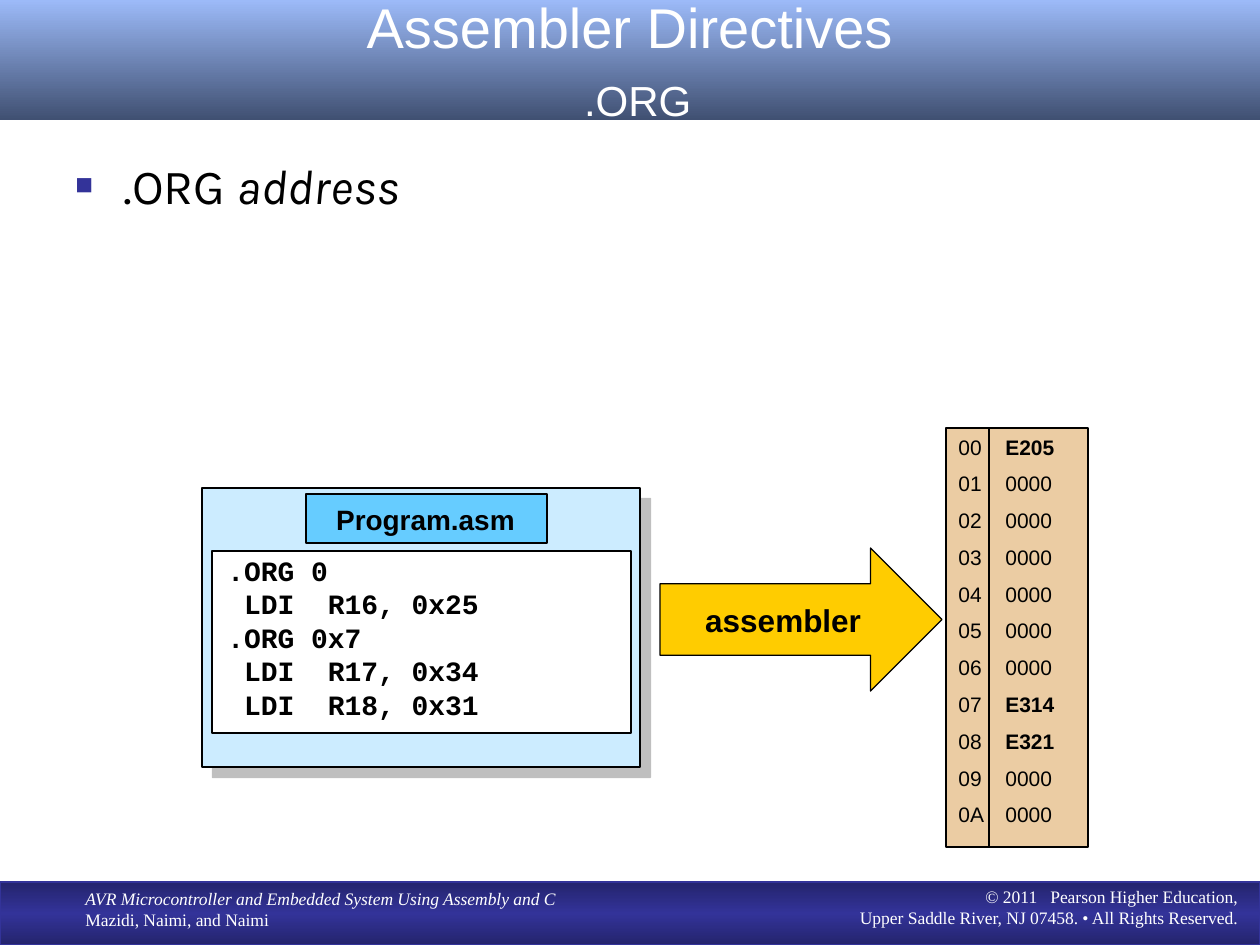
"""Build the slide on the assembler's .ORG directive."""
from copy import deepcopy
from dataclasses import dataclass
from typing import NamedTuple, Optional, Sequence

from pptx import Presentation, util as u
from pptx.dml.color import RGBColor
from pptx.enum import shapes, text
from pptx.oxml.ns import qn
from lxml import etree

SCALE = 914400 / 126
BLACK = RGBColor(0x00, 0x00, 0x00)
WHITE = RGBColor(0xFF, 0xFF, 0xFF)
NAVY = RGBColor(0x24, 0x24, 0x6D)
INDIGO = RGBColor(0x33, 0x33, 0x99)
SKY = RGBColor(0x9C, 0xBA, 0xF8)
SLATE = RGBColor(0x40, 0x50, 0x72)
PALE = RGBColor(0xCC, 0xEC, 0xFF)
CYAN = RGBColor(0x66, 0xCC, 0xFF)
TAN = RGBColor(0xEB, 0xCC, 0xA3)
GOLD = RGBColor(0xFF, 0xCC, 0x00)
RECT = shapes.MSO_SHAPE.RECTANGLE
ARROW = shapes.MSO_SHAPE.RIGHT_ARROW
LEFT, MID, RIGHT = text.PP_ALIGN.LEFT, text.PP_ALIGN.CENTER, text.PP_ALIGN.RIGHT
BREAK = "\n"


class Run(NamedTuple):
    body: str
    size: Optional[int] = None
    bold: Optional[bool] = None
    slant: bool = False


@dataclass(frozen=True)
class Box:
    x: int
    y: int
    w: int
    h: int
    fill: Sequence[RGBColor] = ()
    line: Optional[RGBColor] = BLACK
    width: float = 0.75
    kind: shapes.MSO_SHAPE = RECT


class Cell(NamedTuple):
    code: str
    value: str = "0000"


def px(n: int) -> u.Emu:
    return u.Emu(round(n * SCALE))


def add(node, tag: str, **attrs):
    return etree.SubElement(node, qn(tag), {k: str(v) for k, v in attrs.items()})


def draw(slide, box: Box):
    place = [px(n) for n in (box.x, box.y, box.w, box.h)]
    if not box.fill:
        return slide.shapes.add_textbox(*place)
    shape = slide.shapes.add_shape(box.kind, *place)
    shape.shadow.inherit = False
    if len(box.fill) == 1:
        shape.fill.solid()
        shape.fill.fore_color.rgb = box.fill[0]
    else:
        blend(shape, box.fill)
    if box.line is None:
        shape.line.fill.background()
    else:
        shape.line.color.rgb = box.line
        shape.line.width = u.Pt(box.width)
    return shape


def blend(shape, tints: Sequence[RGBColor]) -> None:
    shape.fill.gradient()
    shape.fill.gradient_angle = 270
    stops = shape._element.spPr.find(".//" + qn("a:gsLst"))
    for _ in tints[2:]:
        stops.append(deepcopy(stops[0]))
    for i, (stop, tint) in enumerate(zip(shape.fill.gradient_stops, tints)):
        stop.color.rgb = tint
        stop.position = i / (len(tints) - 1)


def shade(shape) -> None:
    effect = shape._element.spPr.find(qn("a:effectLst"))
    cast = add(effect, "a:outerShdw", dist=u.Pt(8.5), dir=2700000, algn="ctr", rotWithShape=0)
    tint = add(cast, "a:srgbClr", val="808080")
    add(tint, "a:alpha", val=50000)


def bullet(para, indent: int) -> None:
    props = para._p.get_or_add_pPr()
    props.set("marL", str(px(indent)))
    props.set("indent", str(-px(indent)))
    tint = add(props, "a:buClr")
    add(tint, "a:srgbClr", val=INDIGO)
    add(props, "a:buSzPct", val=60000)
    add(props, "a:buFont", typeface="Arial")
    add(props, "a:buChar", char="■")


def write(shape, lines: Sequence[Sequence[Run]], *, size: int, font: str = "Arial",
          color: RGBColor = BLACK, bold: bool = False, align=LEFT, wrap: bool = True,
          middle: bool = False, gap: float = 0, indent: int = 0, tab: int = 0) -> None:
    frame = shape.text_frame
    frame.word_wrap = wrap
    frame.vertical_anchor = text.MSO_ANCHOR.MIDDLE if middle else text.MSO_ANCHOR.TOP
    for i, line in enumerate(lines):
        para = frame.add_paragraph() if i else frame.paragraphs[0]
        if indent:
            bullet(para, indent)
        if tab:
            stops = add(para._p.get_or_add_pPr(), "a:tabLst")
            add(stops, "a:tab", pos=px(tab), algn="l")
        para.alignment = align
        if i and gap:
            para.space_before = u.Pt(gap)
        for part in line:
            if part.body == BREAK:
                para.add_line_break()
                continue
            run = para.add_run()
            run.text = part.body
            face = run.font
            face.name, face.size = font, u.Pt(part.size or size)
            face.bold = bold if part.bold is None else part.bold
            face.italic = part.slant
            face.color.rgb = color


def rule(slide, x: int, top: int, end: int) -> None:
    line = slide.shapes.add_connector(
        shapes.MSO_CONNECTOR.STRAIGHT, px(x), px(top), px(x), px(end))
    line.line.color.rgb = BLACK
    line.line.width = u.Pt(1.5)
    add(line._element.spPr, "a:effectLst")


def frame(slide) -> None:
    draw(slide, Box(0, 882, 1260, 63, (NAVY, INDIGO, NAVY), INDIGO))
    serif = dict(size=10, font="Times New Roman", color=WHITE)
    write(draw(slide, Box(73, 882, 522, 54)), [
        [Run("AVR Microcontroller and Embedded System Using Assembly and C", slant=True)],
        [Run("Mazidi, Naimi, and Naimi")]], **serif)
    write(draw(slide, Box(725, 880, 525, 54)), [[
        Run("© 2011   Pearson Higher Education,"), Run(BREAK),
        Run("Upper Saddle River, NJ 07458. • All Rights Reserved.")]], align=RIGHT, **serif)
    write(draw(slide, Box(0, 0, 1260, 120, (SKY, SLATE), None)), [[
        Run("Assembler Directives"), Run(BREAK), Run(" "), Run(".ORG", 24)]],
        size=32, color=WHITE, align=MID, middle=True)
    write(draw(slide, Box(63, 149, 1150, 174)), [[Run(".ORG "), Run("address", slant=True)]],
          size=28, font="Karla", indent=48)


def program(slide) -> None:
    shade(draw(slide, Box(202, 488, 438, 279, (PALE,))))
    draw(slide, Box(212, 551, 419, 182, (WHITE,)))
    code = (".ORG 0", " LDI  R16, 0x25", ".ORG 0x7", " LDI  R17, 0x34", " LDI  R18, 0x31")
    write(draw(slide, Box(215, 547, 421, 182)), [[Run(row)] for row in code],
          size=16, font="Courier New", bold=True)
    draw(slide, Box(306, 494, 241, 49, (CYAN,)))
    write(draw(slide, Box(319, 496, 213, 47)), [[Run("Program.asm")]],
          size=16, bold=True, align=MID)


def memory(slide) -> None:
    words = {0: "E205", 7: "E314", 8: "E321"}
    cells = [Cell(f"{n:02X}", words.get(n, "0000")) for n in range(11)]
    lines = [[Run(f"{c.code}\t"), Run(c.value, bold=c.value != "0000")] for c in cells]
    write(draw(slide, Box(946, 428, 142, 419, (TAN,), width=1.5)), lines,
          size=12, gap=6.6, tab=47)
    rule(slide, 989, 428, 847)


def main() -> None:
    deck = Presentation()
    deck.slide_width, deck.slide_height = px(1260), px(945)
    slide = deck.slides.add_slide(deck.slide_layouts[6])
    frame(slide)
    program(slide)
    memory(slide)
    write(draw(slide, Box(660, 548, 282, 143, (GOLD,), kind=ARROW)), [[Run("assembler")]],
          size=18, bold=True, align=MID, wrap=False, middle=True)
    deck.save("out.pptx")


if __name__ == "__main__":
    main()
